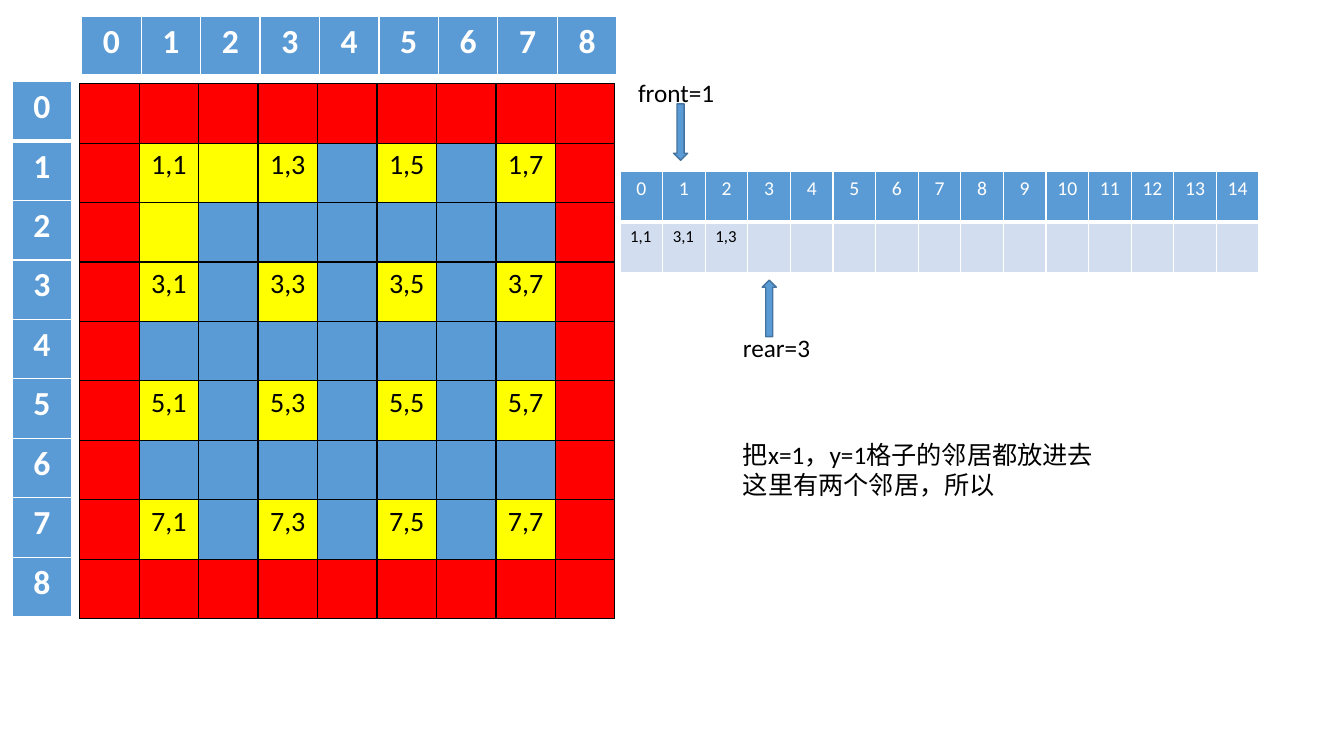
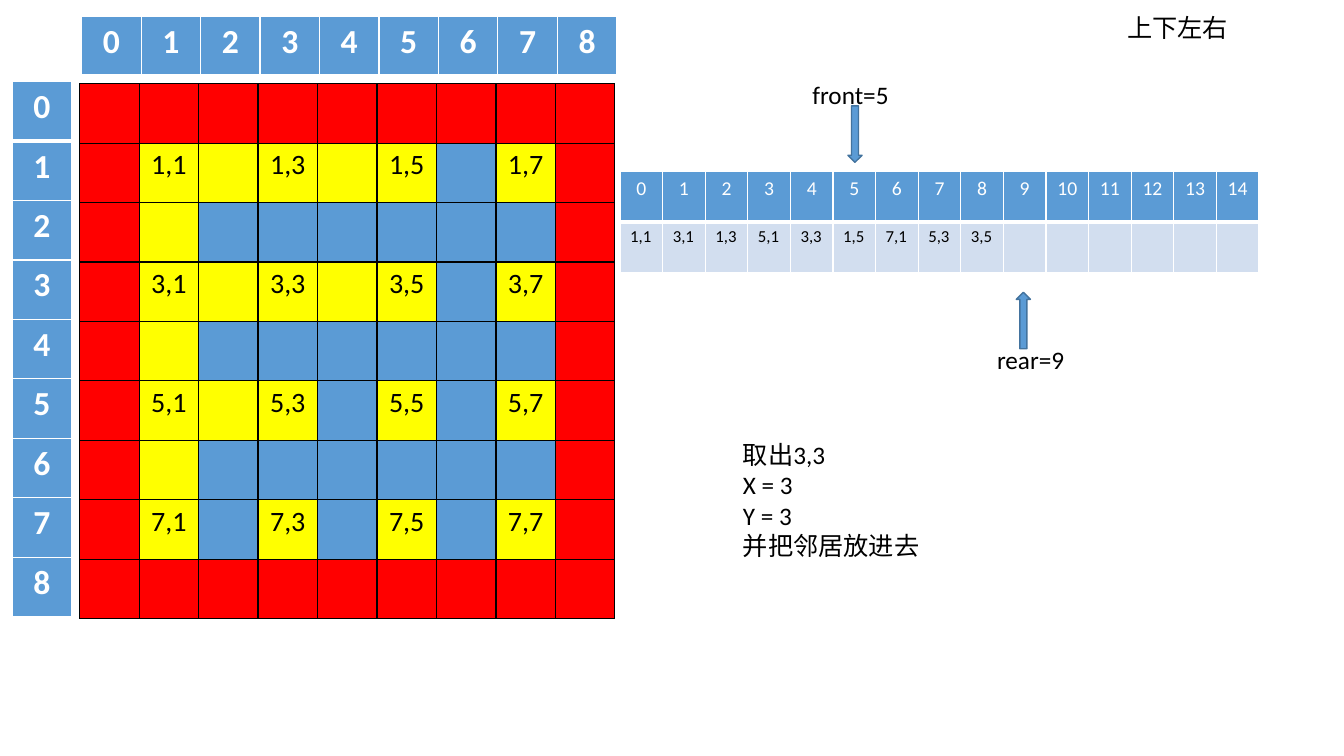
from pptx import Presentation
from pptx.dml.color import RGBColor
from pptx.enum.shapes import MSO_SHAPE
from pptx.enum.text import MSO_AUTO_SIZE, PP_ALIGN
from pptx.oxml.ns import qn
from pptx.util import Inches, Pt
from lxml import etree

UP_ARROW = MSO_SHAPE.UP_ARROW
FIT_TEXT = MSO_AUTO_SIZE.SHAPE_TO_FIT_TEXT
CENTER, LEFT = PP_ALIGN.CENTER, PP_ALIGN.LEFT

BLACK = RGBColor(0x00, 0x00, 0x00)
WHITE = RGBColor(0xFF, 0xFF, 0xFF)
RED = RGBColor(0xFF, 0x00, 0x00)
YELLOW = RGBColor(0xFF, 0xFF, 0x00)
BLUE = RGBColor(0x5B, 0x9B, 0xD5)
DARK_BLUE = RGBColor(0x43, 0x73, 0x9E)
PALE_BLUE = RGBColor(0xD2, 0xDE, 0xEF)

FONT = "Calibri"
MAZE_SIZE = 9
CELL = 0.59
QUEUE_SIZE = 15
QUEUE_WIDTH = 6.34

FIRST_PASSAGES = {(1, 2), (2, 1)}
LATER_PASSAGES = FIRST_PASSAGES | {(1, 4), (3, 2), (3, 4), (4, 1), (5, 2), (6, 1)}


def style_font(font, size, color, bold=False):
    """Apply the shared typeface with a size, colour and weight."""
    font.name, font.size, font.bold = FONT, Pt(size), bold
    font.color.rgb = color


def set_borders(cell, color, top=1, bottom=1):
    """Draw the four borders of a cell, widths in points."""
    tc_pr = cell._tc.get_or_add_tcPr()
    for tag, width in (("a:lnL", 1), ("a:lnR", 1), ("a:lnT", top), ("a:lnB", bottom)):
        ln = etree.SubElement(tc_pr, qn(tag), w=str(Pt(width)))
        fill = etree.SubElement(ln, qn("a:solidFill"))
        etree.SubElement(fill, qn("a:srgbClr"), val=str(color))


def fill_cell(cell, text, fill, size, color, bold=False, align=CENTER):
    """Fill a cell and write its text, if any."""
    cell.fill.solid()
    cell.fill.fore_color.rgb = fill
    if text:
        p = cell.text_frame.paragraphs[0]
        p.text = text
        p.alignment = align
        style_font(p.runs[0].font, size, color, bold)


def add_grid(s, rows, cols, left, top, cell_width, cell_height):
    """Add a plain table of equal cells."""
    table = s.shapes.add_table(rows, cols, Inches(left), Inches(top),
                               Inches(cols * cell_width), Inches(rows * cell_height)).table
    table.first_row = table.horz_banding = False
    for col in table.columns:
        col.width = Inches(cell_width)
    for row in table.rows:
        row.height = Inches(cell_height)
    return table


def add_maze(s, passages):
    """Add the maze: red walls outside, yellow rooms and open passages."""
    table = add_grid(s, MAZE_SIZE, MAZE_SIZE, 0.79, 0.83, CELL, CELL)
    edge = (0, MAZE_SIZE - 1)
    for y in range(MAZE_SIZE):
        for x in range(MAZE_SIZE):
            room = y % 2 and x % 2
            if y in edge or x in edge:
                fill = RED
            else:
                fill = YELLOW if room or (y, x) in passages else BLUE
            cell = table.cell(y, x)
            set_borders(cell, BLACK)
            fill_cell(cell, f"{y},{x}" if room else "", fill, 20, BLACK)


def add_ruler(s, rows, cols, left, top):
    """Add a row or column of maze indices."""
    table = add_grid(s, rows, cols, left, top, CELL, CELL)
    for i, cell in enumerate(table.iter_cells()):
        set_borders(cell, WHITE, 3 if rows > 1 and i == 1 else 1,
                    3 if rows == 1 or i == 0 else 1)
        fill_cell(cell, str(i), BLUE, 24, WHITE, bold=True)


def add_queue(s, items):
    """Add the queue with its indices above the stored cells."""
    table = add_grid(s, 2, QUEUE_SIZE, 6.15, 1.7, QUEUE_WIDTH / QUEUE_SIZE, 0.5)
    for i in range(QUEUE_SIZE):
        index, item = table.cell(0, i), table.cell(1, i)
        set_borders(index, WHITE, bottom=3)
        set_borders(item, WHITE, top=3)
        fill_cell(index, str(i), BLUE, 14, WHITE)
        fill_cell(item, items[i] if i < len(items) else "", PALE_BLUE, 12, BLACK, align=LEFT)


def add_text(shapes, lines, left, top, width, height=0.4, wrap=False):
    """Add a text box with one paragraph per line."""
    tf = shapes.add_textbox(Inches(left), Inches(top), Inches(width), Inches(height)).text_frame
    tf.word_wrap = wrap
    tf.auto_size = FIT_TEXT
    tf.text = "\n".join(lines)
    for p in tf.paragraphs:
        for r in p.runs:
            style_font(r.font, 18, BLACK)


def add_pointer(s, label, left, top, width, arrow_dx, arrow_dy, rotation=0):
    """Add a label grouped with an arrow at an offset from it."""
    shapes = s.shapes.add_group_shape().shapes
    arrow = shapes.add_shape(UP_ARROW, Inches(left + arrow_dx), Inches(top + arrow_dy),
                             Inches(0.14), Inches(0.56))
    arrow.rotation = rotation
    arrow.shadow.inherit = False
    arrow.fill.solid()
    arrow.fill.fore_color.rgb = BLUE
    arrow.line.color.rgb = DARK_BLUE
    arrow.line.width = Pt(1)
    add_text(shapes, [label], left, top, width)


def add_step(prs, passages, items, front, front_at, rear_at, note):
    """Add one slide showing a step of the search."""
    s = prs.slides.add_slide(prs.slide_layouts[6])
    add_maze(s, passages)
    add_ruler(s, 1, MAZE_SIZE, 0.81, 0.16)
    add_ruler(s, MAZE_SIZE, 1, 0.12, 0.81)
    add_queue(s, items)
    add_pointer(s, f"front={front}", *front_at, 0.97, 0.45, 0.31, rotation=180)
    add_pointer(s, f"rear={len(items)}", *rear_at, 0.88, 0.29, -0.47)
    add_text(s.shapes, note, 7.27, 4.31, 3.71, 0.3 * len(note) + 0.1, wrap=True)
    return s


def main():
    """Build both steps and save the presentation."""
    prs = Presentation()
    prs.slide_width, prs.slide_height = Inches(13.33), Inches(7.5)
    add_step(prs, FIRST_PASSAGES, ["1,1", "3,1", "1,3"], 1, (6.23, 0.72), (7.27, 3.25),
             ["把x=1，y=1格子的邻居都放进去", "这里有两个邻居，所以"])
    s = add_step(prs, LATER_PASSAGES,
                 ["1,1", "3,1", "1,3", "5,1", "3,3", "1,5", "7,1", "5,3", "3,5"],
                 5, (7.96, 0.74), (9.79, 3.37),
                 ["取出3,3", "X = 3", "Y = 3", "并把邻居放进去"])
    add_text(s.shapes, ["上下左右"], 11.08, 0.07, 1.21)
    prs.save("out.pptx")


if __name__ == "__main__":
    main()
